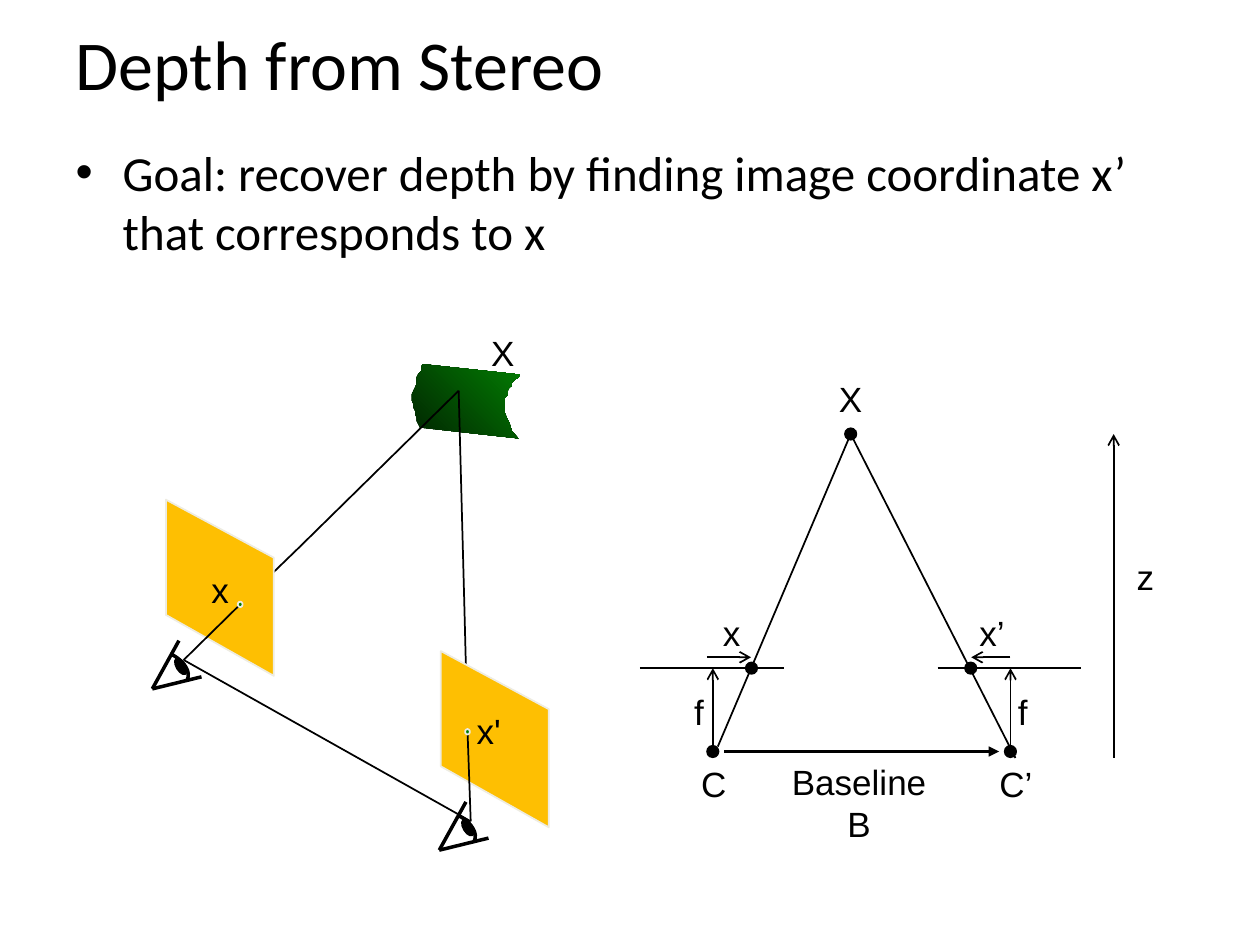
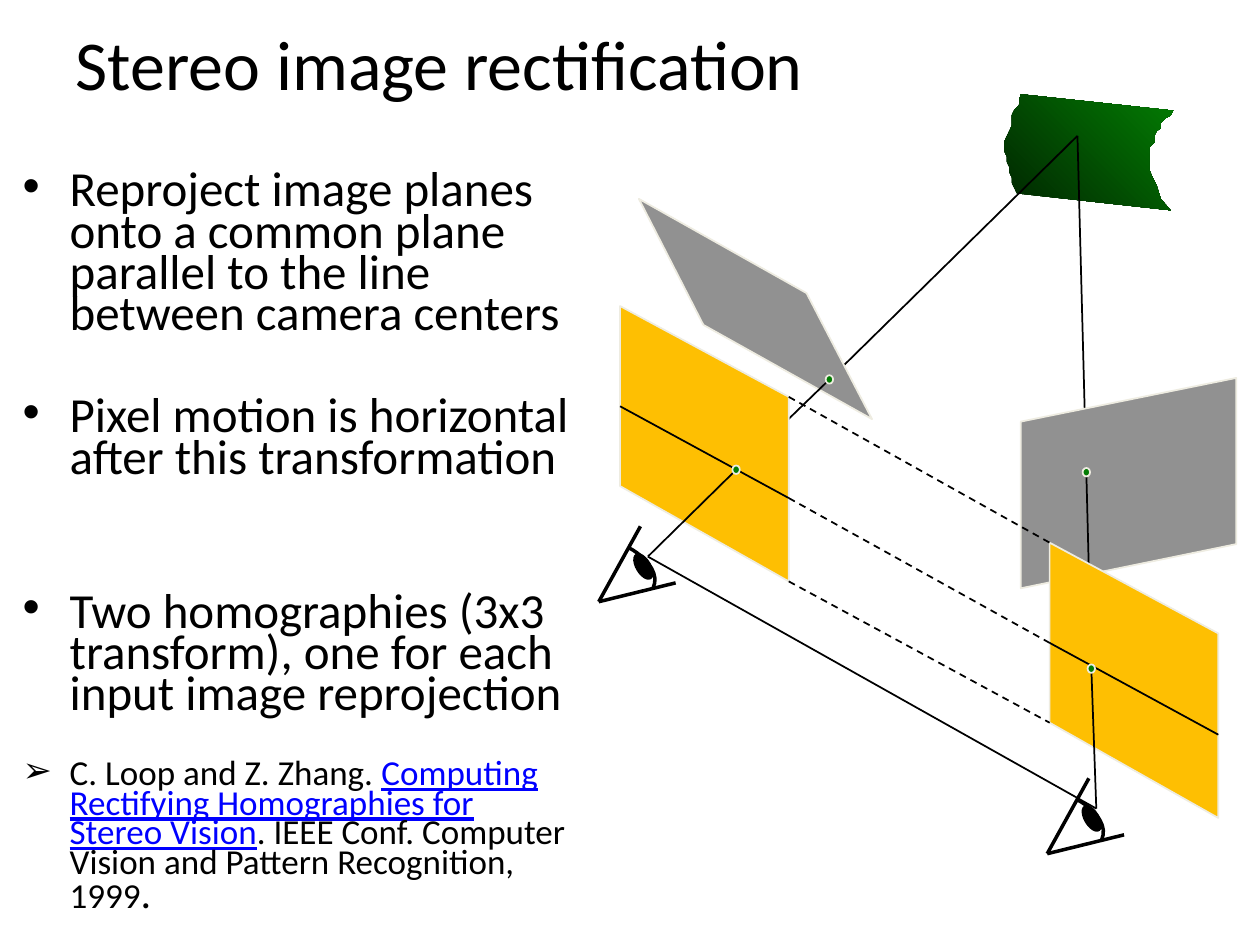
from dataclasses import dataclass
from typing import Any

from lxml.etree import SubElement
from pptx import Presentation
from pptx.dml.color import RGBColor
from pptx.enum.dml import MSO_LINE
from pptx.enum.shapes import MSO_CONNECTOR, MSO_SHAPE
from pptx.enum.text import MSO_ANCHOR, MSO_AUTO_SIZE, PP_ALIGN
from pptx.oxml.ns import qn
from pptx.util import Cm, Pt

BLACK, GOLD, GREY = "000000", "FEBF02", "919191"
DARK, GREEN, CREAM, BLUE = "012501", "037C03", "EEECE1", "0000FF"

LEFT = dict(plane=(0.43, 4.27), eye=(0, 8.71), focus=(0.99, 9.32),
            dot=(2.77, 7.57), mid=(4.65, 5.75),
            tilt=[(2.11, 4.65), (5.51, 6.55), (4.19, 4.01), (0.81, 2.11)])
RIGHT = dict(plane=(9.09, 9.04), eye=(9.04, 13.79), focus=(10.03, 14.4),
             dot=(9.93, 11.58), mid=(9.83, 7.62),
             tilt=[(8.51, 6.6), (8.51, 9.96), (12.85, 9.07), (12.85, 5.72)])
APEX = (9.65, 0.84)
PLANE = [(0, 3.63), (3.4, 5.55), (3.4, 1.83), (0, 0)]
EDGE = [0.33, 0.3, 0.3, 0.2, 0.15, 0.15, 0.15, 0.1, 0.05, 0,
        0, 0, 0.05, 0.05, 0.1, 0.1, 0.15, 0.15, 0.2, 0.25]
TORN = [(3.35, 2.34), (3.15, 2.11), (3.12, 2.01), (3.07, 1.85),
        (3.02, 1.75), (2.97, 1.65), (2.92, 1.52), (2.92, 1.07),
        (3.02, 0.97), (3.02, 0.84), (3.07, 0.74), (3.15, 0.69),
        (3.15, 0.58), (3.25, 0.48), (3.35, 0.43), (3.4, 0.33)]
CURVE = [(0.6, 0.43), (0.88, 0.57), (1.25, 0.91), (1.1, 1.24)]


@dataclass
class Box:
    """A drawing area with its origin and scale in centimetres."""
    shapes: Any
    x: float
    y: float
    scale: float = 1

    def at(self, point):
        """Return the slide position of a local point."""
        return (Cm(self.x + self.scale * point[0]),
                Cm(self.y + self.scale * point[1]))

    def sub(self, point):
        """Return a box of the same scale that starts at a local point."""
        return Box(self.shapes, self.x + self.scale * point[0],
                   self.y + self.scale * point[1], self.scale)


def color(code):
    """Turn a hex string into a colour."""
    return RGBColor.from_string(code)


def shift(point, step):
    """Add two points."""
    return point[0] + step[0], point[1] + step[1]


def write(para, text, size=20, font="Arial", ink=BLACK, under=None):
    """Add formatted text to a paragraph, with a line break at each newline."""
    for i, part in enumerate(text.split("\n")):
        if i:
            para.add_line_break()
        run = para.add_run()
        run.text = part
        run.font.size, run.font.name = Pt(size), font
        run.font.color.rgb = color(ink)
        run.font.underline = under


def label(box, text, point, width=1.65, height=1.12):
    """Centre a short label on a local point."""
    x, y = box.at(point)
    text_box = box.shapes.add_textbox(x - Cm(width / 2), y - Cm(height / 2),
                                      Cm(width), Cm(height))
    frame = text_box.text_frame
    frame.word_wrap = True
    frame.vertical_anchor = MSO_ANCHOR.MIDDLE
    para = frame.paragraphs[0]
    para.alignment = PP_ALIGN.CENTER
    write(para, text)


def line(box, start, end, width=1, head=None, dash=None):
    """Draw a straight line, with an arrowhead at its end if one is named."""
    link = box.shapes.add_connector(MSO_CONNECTOR.STRAIGHT,
                                    *box.at(start), *box.at(end))
    link.line.color.rgb = color(BLACK)
    link.line.width = Pt(width)
    if dash:
        link.line.dash_style = dash
    if head:
        SubElement(link.line._get_or_add_ln(), qn("a:tailEnd"), type=head)
    SubElement(link._element.spPr, qn("a:effectLst"))


def paint(shape, fill=None, edge=None, width=1):
    """Set the fill and outline of a shape, and take off its shadow."""
    shape.shadow.inherit = False
    if fill:
        shape.fill.solid()
        shape.fill.fore_color.rgb = color(fill)
    else:
        shape.fill.background()
    if edge:
        shape.line.color.rgb = color(edge)
        shape.line.width = Pt(width)
    else:
        shape.line.fill.background()


def outline(box, points, close=True, **look):
    """Draw a freeform through local points."""
    first, *rest = [box.at(p) for p in points]
    pen = box.shapes.build_freeform(*first)
    pen.add_line_segments(rest, close=close)
    shape = pen.convert_to_shape()
    paint(shape, **look)
    return shape


def oval(box, point, wide, high, fill, edge):
    """Draw an ellipse centred on a local point."""
    x, y = box.at(point)
    w, h = Cm(wide * box.scale), Cm(high * box.scale)
    shape = box.shapes.add_shape(MSO_SHAPE.OVAL, x - w // 2, y - h // 2, w, h)
    paint(shape, fill, edge)
    return shape


def surface(box):
    """Draw the torn green surface."""
    side = [(x, 2 * i / (len(EDGE) - 1)) for i, x in enumerate(EDGE)]
    fill = outline(box, side + TORN).fill
    fill.gradient()
    fill.gradient_angle = 45
    for stop, code in zip(fill.gradient_stops, (DARK, GREEN)):
        stop.color.rgb = color(code)


def eye(box):
    """Draw an eye: two lids, a curved lens and a pupil."""
    steps = [i / 10 for i in range(11)]
    bend = [tuple((1 - t) ** 3 * a + 3 * t * (1 - t) ** 2 * b
                  + 3 * t * t * (1 - t) * c + t ** 3 * d
                  for a, b, c, d in zip(*CURVE)) for t in steps]
    outline(box, bend, close=False, edge=BLACK, width=2)
    corner = (0, 1.52)
    for tip in ((0.84, 0), (1.55, 1.14)):
        line(box, corner, tip, 2)
    oval(box, (0.9, 0.81), 0.28, 0.56, BLACK, BLACK).rotation = 329


def view(box, plane, eye_at, focus, dot, mid, tilt, tilted):
    """Draw one camera with its ray and image planes."""
    line(box, APEX, mid)
    if tilted:
        outline(box, tilt, fill=GREY, edge=CREAM)
    line(box, mid, dot)
    outline(box.sub(plane), PLANE, fill=GOLD, edge=CREAM)
    line(box, dot, focus)
    eye(box.sub(eye_at))


def rows(box):
    """Draw the matching image rows and the dashed links between planes."""
    left, right = LEFT["plane"], RIGHT["plane"]
    for near, far in (((0, 0), PLANE[2]), ((0, 3.63), PLANE[1]),
                      ((0, 2.02), (3.4, 3.87))):
        line(box, shift(left, far), shift(right, near), dash=MSO_LINE.DASH)
    for plane in (left, right):
        line(box, shift(plane, near), shift(plane, far))


def scene(box, tilted=False):
    """Draw two cameras that look at one surface."""
    surface(box.sub((8.18, 0)))
    line(box, LEFT["focus"], RIGHT["focus"])
    for side in (LEFT, RIGHT):
        parts = {k: v for k, v in side.items() if k != "eye"}
        view(box, eye_at=side["eye"], tilted=tilted, **parts)
    if tilted:
        rows(box)
    for side in (LEFT, RIGHT):
        for key in ("dot", "mid") if tilted else ("dot",):
            oval(box, side[key], 0.15, 0.17, GREEN, CREAM)


def depth(box):
    """Draw the triangle of the point, the two centres and the baseline."""
    peak, row, base = (4.25, 0), 4.72, 6.4
    for x in (0, 6):
        line(box, (x, row), (x + 2.9, row))
    for foot in ((1.57, 6.3), (7.57, 6.53)):
        line(box, foot, peak)
    for x, hit in ((1.47, 2.25), (7.47, 6.67)):
        line(box, (x, 6.3), (x, row), head="arrow")
        for spot in ((x, base), (hit, row)):
            oval(box, spot, 0.23, 0.23, BLACK, BLACK)
    oval(box, peak, 0.23, 0.23, BLACK, BLACK)
    for start, end in ((1.35, 2.24), (7.47, 6.68)):
        line(box, (start, 4.5), (end, 4.5), head="arrow")
    line(box, (1.7, base), (7.24, base), 1.5, "triangle")
    line(box, (9.55, 6.53), (9.55, 0), head="arrow")
    for text, *point in (("f", 1.19, 5.59), ("f", 7.72, 5.59),
                         ("x", 1.85, 4.01), ("x’", 7.1, 4.01),
                         ("z", 10.19, 2.87), ("X", 4.25, -0.71),
                         ("C", 1.49, 7.04), ("C’", 7.58, 7.04)):
        label(box, text, point)
    label(box, "Baseline\nB", (4.42, 7.43), 3.25, 1.96)


def place(holder, left, top, width, height):
    """Move a placeholder and return its text frame."""
    holder.left, holder.top = Cm(left), Cm(top)
    holder.width, holder.height = Cm(width), Cm(height)
    frame = holder.text_frame
    frame.auto_size = MSO_AUTO_SIZE.NONE
    frame.word_wrap = True
    return frame


def page(deck, title, area, items, pitch=None):
    """Add a slide with a title and a list of (bullet, gap, runs) items."""
    slide = deck.slides.add_slide(deck.slide_layouts[1])
    frame = place(slide.shapes.title, 1.27, 0, 22.86, 2.54)
    frame.vertical_anchor = MSO_ANCHOR.MIDDLE
    frame.paragraphs[0].alignment = PP_ALIGN.LEFT
    write(frame.paragraphs[0], title, size=40, font="Calibri")
    frame = place(slide.placeholders[1], *area)
    for i, (mark, gap, runs) in enumerate(items):
        para = frame.add_paragraph() if i else frame.paragraphs[0]
        props = para._p.get_or_add_pPr()
        props.set("marL", str(Cm(0.95)))
        props.set("indent", str(-Cm(0.95)))
        SubElement(props, qn("a:buFont"), typeface="Arial")
        SubElement(props, qn("a:buChar"), char=mark)
        para.space_before = Pt(gap)
        if pitch:
            para.line_spacing = pitch
        for text, look in runs:
            write(para, text, font="Calibri", **look)
    return slide


def stereo(deck):
    """Build the slide on depth from stereo."""
    goal = ("Goal: recover depth by finding image coordinate x’ "
            "that corresponds to x")
    slide = page(deck, "Depth from Stereo", (1.27, 2.74, 22.86, 14.27),
                 [("•", 0, [(goal, dict(size=28))])])
    depth(Box(slide.shapes.add_group_shape().shapes, 12.9, 8.75))
    box = Box(slide.shapes.add_group_shape().shapes, 3.07, 7.34, 0.64)
    scene(box)
    for text, *point in (("X", 11.04, -0.36), ("x", 2.14, 7.11),
                         ("x'", 10.6, 11.54)):
        label(box, text, point)


def rectify(deck):
    """Build the slide on image rectification."""
    big = dict(size=28)
    items = [
        ("•", 0, [("Reproject image planes onto a common plane parallel "
                   "to the line between camera centers", big)]),
        ("•", 35, [("Pixel motion is horizontal after this "
                    "transformation", big)]),
        ("•", 64.5, [("Two homographies (3x3 transform), one for each "
                      "input image reprojection", big)]),
        ("➢", 25, [("C. Loop and Z. Zhang. ", {}),
                   ("Computing Rectifying Homographies for Stereo Vision",
                    dict(ink=BLUE, under=True)),
                   (". IEEE Conf. Computer Vision and Pattern "
                    "Recognition, 1999", {}),
                   (".", dict(size=24))])]
    slide = page(deck, "Stereo image rectification",
                 (0.2, 3.38, 11.63, 15.39), items, 0.7)
    scene(Box(slide.shapes, 12.07, 1.9), tilted=True)


def main():
    """Build and save the deck."""
    deck = Presentation()
    deck.slide_width, deck.slide_height = Cm(25.4), Cm(19.05)
    stereo(deck)
    rectify(deck)
    deck.save("out.pptx")


if __name__ == "__main__":
    main()
